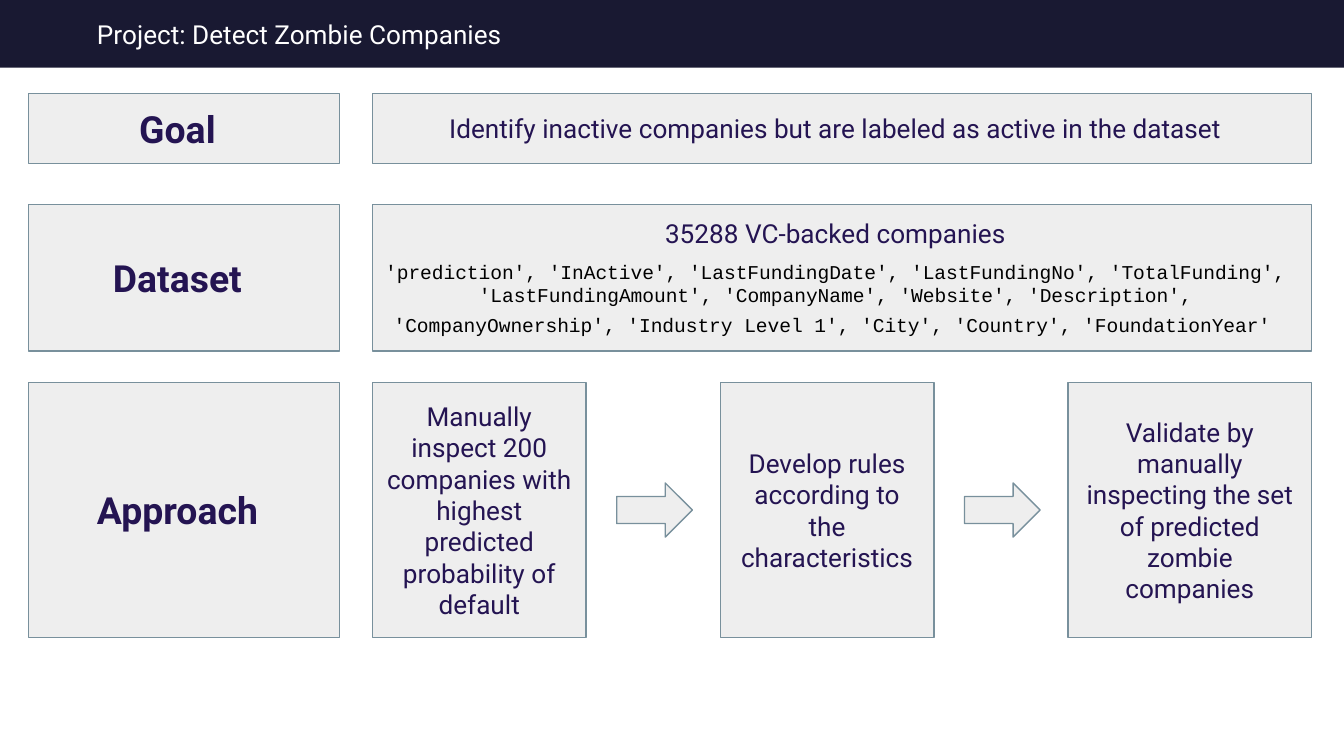
import pptx
import pptx.util
import pptx.dml.color
import pptx.enum.shapes
import pptx.enum.text

Pt = pptx.util.Pt
RGBColor = pptx.dml.color.RGBColor
Shape = pptx.enum.shapes.MSO_SHAPE

NAVY = RGBColor(0x19, 0x19, 0x32)
PURPLE = RGBColor(0x24, 0x14, 0x52)
PANEL = RGBColor(0xEE, 0xEE, 0xEE)
EDGE = RGBColor(0x78, 0x90, 0x9C)
WHITE = RGBColor(0xFF, 0xFF, 0xFF)
BLACK = RGBColor(0, 0, 0)

INSET = 7.2
FIELDS = (
    "'prediction', 'InActive', 'LastFundingDate', 'LastFundingNo', 'TotalFunding', "
    "'LastFundingAmount', 'CompanyName', 'Website', 'Description', "
    "'CompanyOwnership', 'Industry Level 1', 'City', 'Country', 'FoundationYear'"
)
STEPS = [
    ("Manually inspect 200 companies with highest predicted probability of default", 114.5),
    ("Develop rules according to the characteristics", 114.5),
    ("Validate by manually inspecting the set of predicted zombie companies", 130.5),
]


def set_font(font, size, color=PURPLE, bold=False, name="Roboto"):
    font.name = name
    font.size = Pt(size)
    font.bold = bold
    font.color.rgb = color


def add_figure(page, kind, box, fill=PANEL, line=EDGE):
    figure = page.shapes.add_shape(kind, *[Pt(length) for length in box])
    figure.shadow.inherit = False
    figure.fill.solid()
    figure.fill.fore_color.rgb = fill
    if line is None:
        figure.line.fill.background()
    else:
        figure.line.color.rgb = line
        figure.line.width = Pt(0.75)
    return figure


def prepare_frame(frame, left_inset):
    frame.word_wrap = True
    frame.vertical_anchor = pptx.enum.text.MSO_ANCHOR.MIDDLE
    frame.margin_left = Pt(left_inset)
    frame.margin_top = frame.margin_right = frame.margin_bottom = Pt(INSET)


def add_panel(page, box, text, size=14, bold=False, left_inset=0):
    frame = add_figure(page, Shape.RECTANGLE, box).text_frame
    prepare_frame(frame, left_inset)
    para = frame.paragraphs[0]
    para.text = text
    para.alignment = pptx.enum.text.PP_ALIGN.CENTER
    set_font(para.font, size, bold=bold)
    return frame


def add_header(page, box):
    left, top, width, height = box
    add_figure(page, Shape.RECTANGLE, box, NAVY, None)
    title = page.shapes.add_textbox(Pt(left + 52), Pt(top + 8.6), Pt(308), Pt(19.5))
    prepare_frame(title.text_frame, 0)
    para = title.text_frame.paragraphs[0]
    para.text = "Project: Detect Zombie Companies"
    set_font(para.font, 14, WHITE)


def add_label(page, box, text):
    add_panel(page, box, text, size=20, bold=True)


def add_goal(page, box):
    add_panel(page, box, "Identify inactive companies but are labeled as active in the dataset")


def add_dataset(page, box):
    frame = add_panel(page, box, "35288 VC-backed companies")
    para = frame.add_paragraph()
    para.alignment = pptx.enum.text.PP_ALIGN.CENTER
    para.space_before = Pt(6)
    fields = para.add_run()
    fields.text = FIELDS
    set_font(fields.font, 10.5, BLACK, name="Courier New")
    ending = para.add_run()
    ending.text = " "
    set_font(ending.font, 14)


def add_approach(page, box):
    left, top, width, height = box
    arrow_width, arrow_height = 40.5, 29
    gap = (width - sum(step_width for text, step_width in STEPS)) / (len(STEPS) - 1)
    for index, (text, step_width) in enumerate(STEPS):
        if index:
            arrow_left = left - (gap + arrow_width) / 2 + 0.7
            arrow_top = top + (height - arrow_height) / 2
            add_figure(page, Shape.RIGHT_ARROW, (arrow_left, arrow_top, arrow_width, arrow_height))
        add_panel(page, (left, top, step_width, height), text, left_inset=INSET)
        left += step_width + gap


def main():
    deck = pptx.Presentation()
    deck.slide_width, deck.slide_height = Pt(720), Pt(405)
    page = deck.slides.add_slide(deck.slide_layouts[6])
    add_header(page, (0, 0, 720, 36.3))
    rows = [
        ("Goal", 50, 37.5, add_goal),
        ("Dataset", 109.5, 78.5, add_dataset),
        ("Approach", 205, 136.5, add_approach),
    ]
    for label, top, height, add_content in rows:
        add_label(page, (15.4, top, 166.5, height), label)
        add_content(page, (199.5, top, 503.2, height))
    deck.save("out.pptx")


if __name__ == "__main__":
    main()
